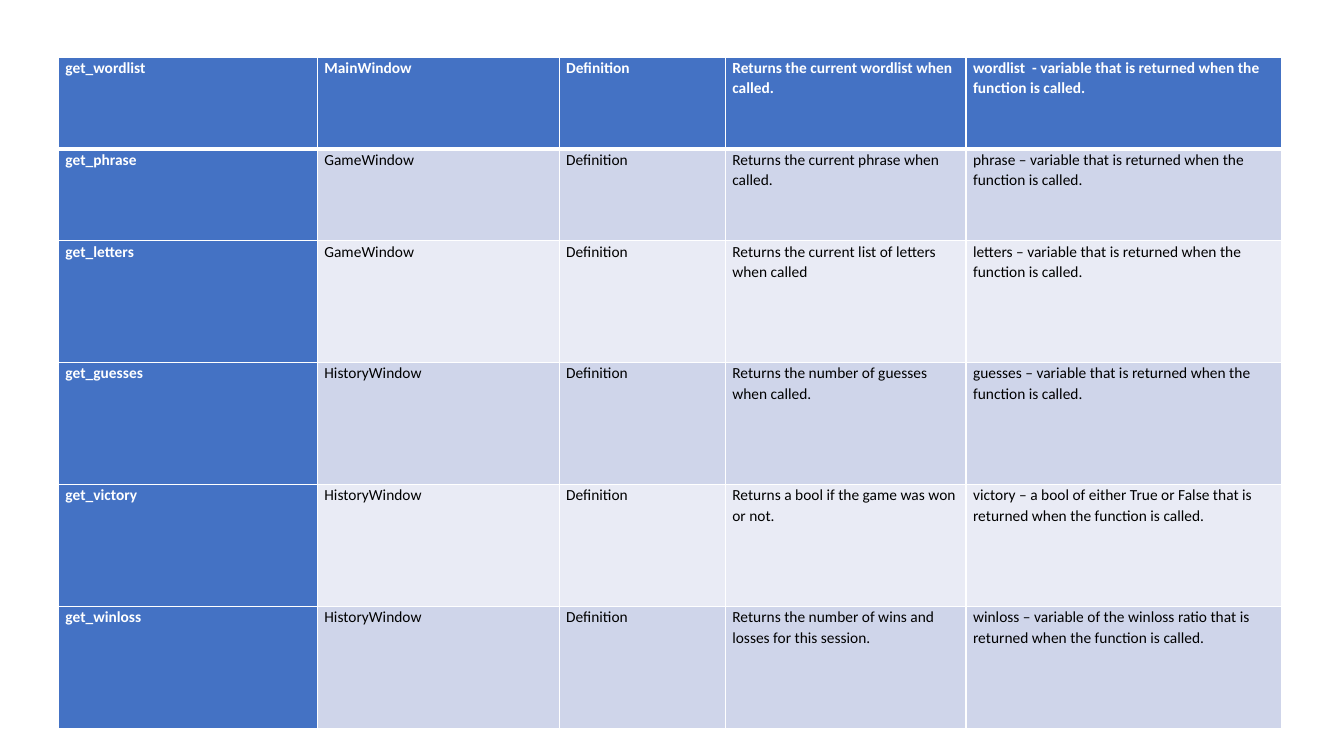
from dataclasses import dataclass

from lxml.etree import SubElement
from pptx import Presentation
from pptx.dml.color import RGBColor as RGB
from pptx.oxml.ns import qn
from pptx.util import Inches, Pt


@dataclass(frozen=True)
class Theme:
    font: str = "Calibri"
    size: float = 11
    spacing: float = 1.07
    accent: str = "4472C4"
    bands: tuple = ("CFD5EA", "E9EBF5")
    light: str = "FFFFFF"
    dark: str = "000000"
    rule: float = 1
    header_rule: float = 3


THEME = Theme()
COL_WIDTHS = [2.57, 2.4, 1.65, 2.39, 3.13]
ROW_HEIGHTS = [0.91] * 2 + [1.21] * 4
RETURNED = "variable that is returned when the function is called."

# Function, window, purpose, returned variable
FUNCTIONS = [
    ("get_wordlist", "MainWindow", "Returns the current wordlist when called.",
     f"wordlist  - {RETURNED}"),
    ("get_phrase", "GameWindow", "Returns the current phrase when called.",
     f"phrase – {RETURNED}"),
    ("get_letters", "GameWindow", "Returns the current list of letters when called",
     f"letters – {RETURNED}"),
    ("get_guesses", "HistoryWindow", "Returns the number of guesses when called.",
     f"guesses – {RETURNED}"),
    ("get_victory", "HistoryWindow", "Returns a bool if the game was won or not.",
     "victory – a bool of either True or False that is returned when the function is called."),
    ("get_winloss", "HistoryWindow", "Returns the number of wins and losses for this session.",
     "winloss – variable of the winloss ratio that is returned when the function is called."),
]


def write(tf, text, *, color, bold=False):
    tf.word_wrap = True
    p = tf.paragraphs[0]
    p.line_spacing = THEME.spacing
    r = p.add_run()
    r.text = text
    r.font.name, r.font.size = THEME.font, Pt(THEME.size)
    r.font.bold, r.font.color.rgb = bold, RGB.from_string(color)


def set_borders(cell, top, bottom):
    tc_pr = cell._tc.get_or_add_tcPr()
    widths = {"L": THEME.rule, "R": THEME.rule, "T": top, "B": bottom}
    for side, width in widths.items():
        ln = SubElement(tc_pr, qn(f"a:ln{side}"), w=str(Pt(width)))
        fill = SubElement(ln, qn("a:solidFill"))
        SubElement(fill, qn("a:srgbClr"), val=THEME.light)


def style_cell(cell, row, col):
    # Borders go before the fill in the cell properties
    set_borders(cell,
                top=THEME.header_rule if row == 1 else THEME.rule,
                bottom=THEME.header_rule if row == 0 else THEME.rule)
    cell.margin_left = cell.margin_right = Inches(0.07)
    cell.margin_top = cell.margin_bottom = 0
    heading = row == 0 or col == 0
    cell.fill.solid()
    cell.fill.fore_color.rgb = RGB.from_string(
        THEME.accent if heading else THEME.bands[(row - 1) % 2])
    return heading


def add_function_table(s, left, top, width, height):
    table = s.shapes.add_table(len(FUNCTIONS), len(COL_WIDTHS), Inches(left),
                               Inches(top), Inches(width), Inches(height)).table
    # Share the box out in proportion to the column and row sizes
    for column, size in zip(table.columns, COL_WIDTHS):
        column.width = Inches(width * size / sum(COL_WIDTHS))
    for row, size in zip(table.rows, ROW_HEIGHTS):
        row.height = Inches(height * size / sum(ROW_HEIGHTS))
    table.first_col = True

    for i, (name, window, purpose, variable) in enumerate(FUNCTIONS):
        for j, text in enumerate((name, window, "Definition", purpose, variable)):
            cell = table.cell(i, j)
            heading = style_cell(cell, i, j)
            write(cell.text_frame, text, bold=heading,
                  color=THEME.light if heading else THEME.dark)


prs = Presentation()
prs.slide_width, prs.slide_height = Inches(13.33), Inches(7.5)
s = prs.slides.add_slide(prs.slide_layouts[6])
add_function_table(s, 0.58, 0.57, 12.13, 6.66)
prs.save("out.pptx")
